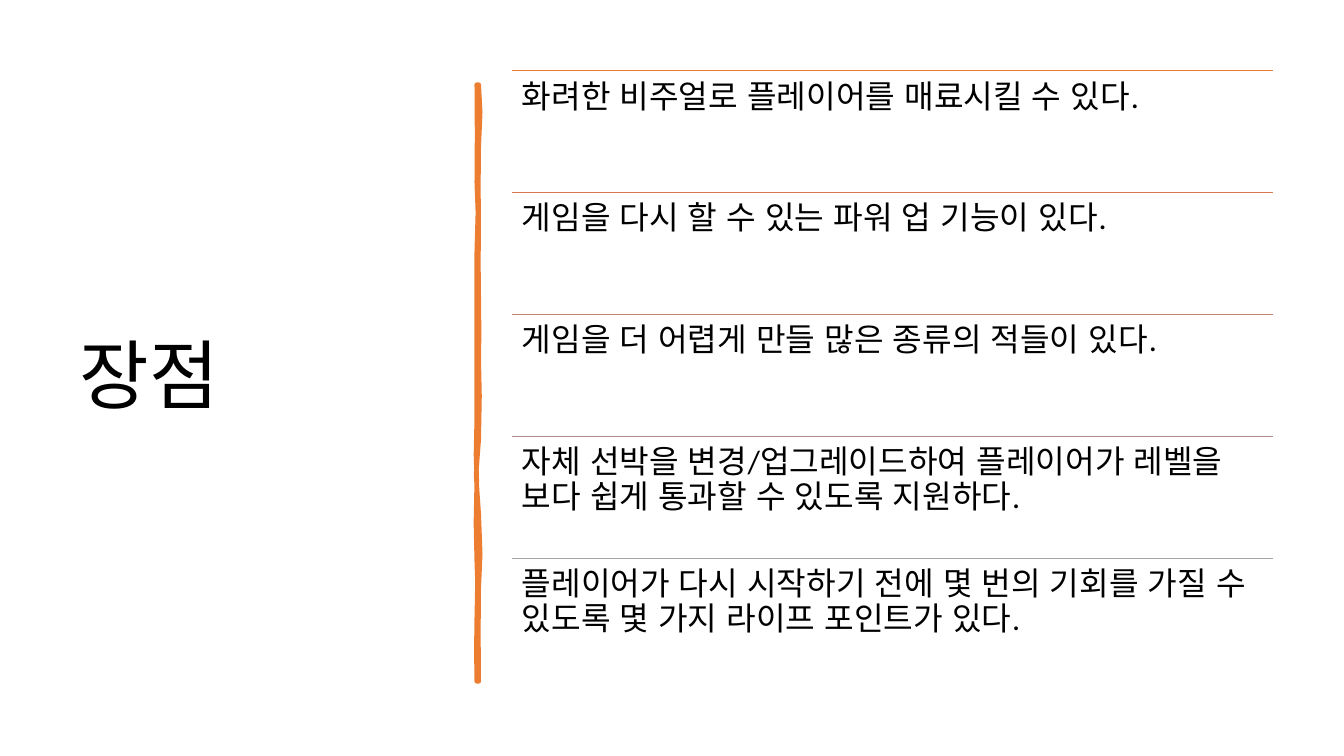
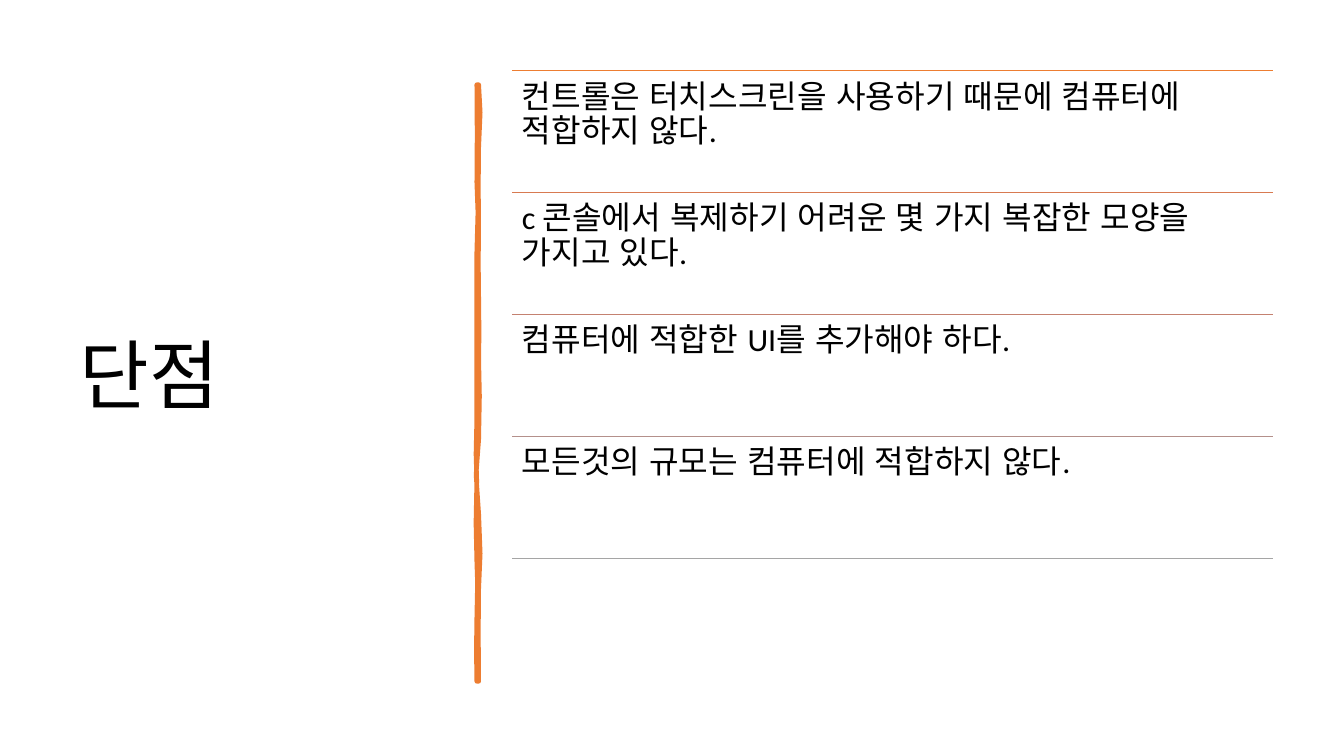
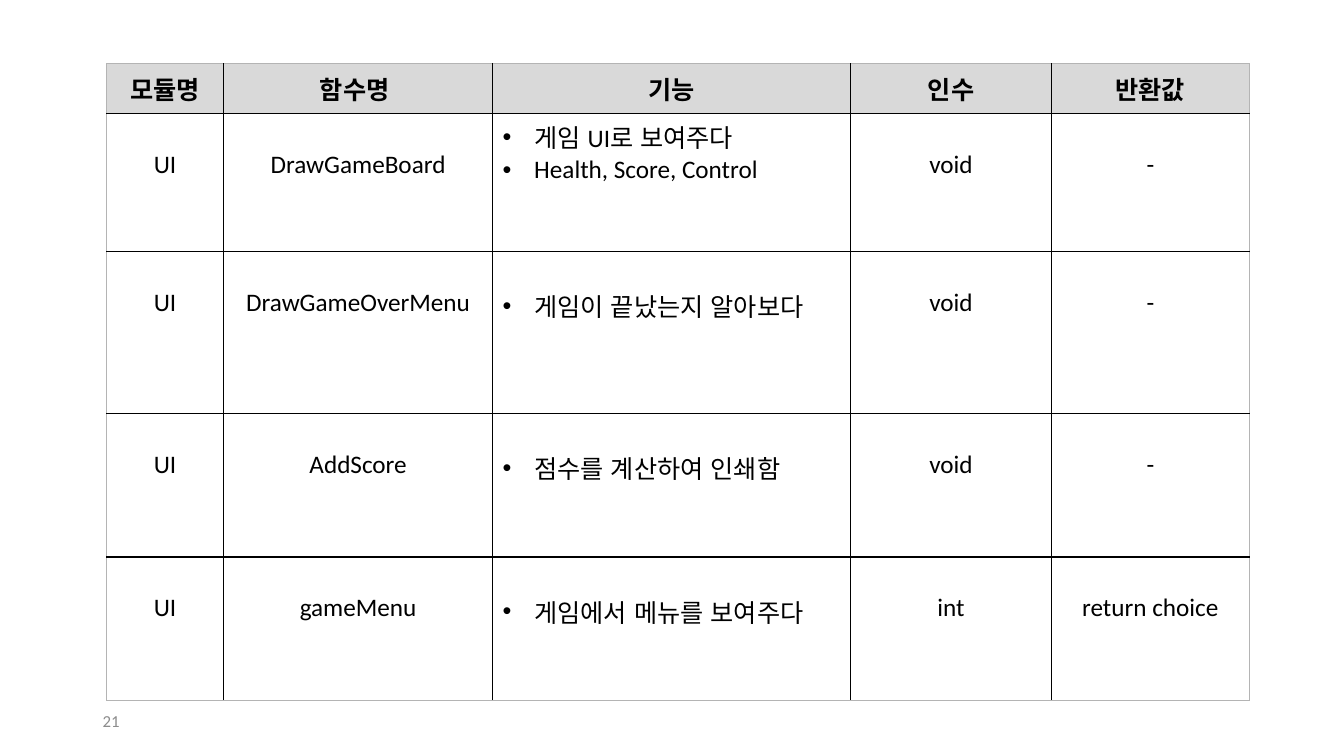
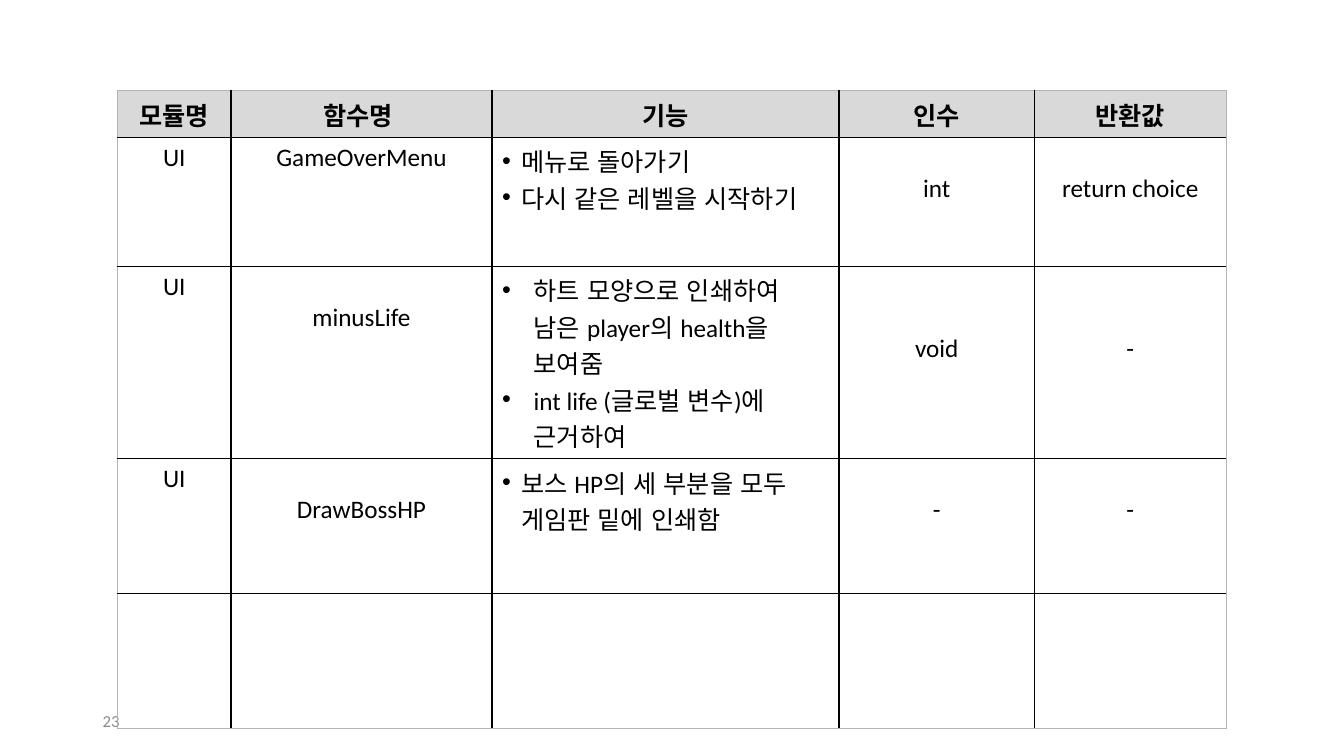
from dataclasses import dataclass
from typing import Iterator, NamedTuple

from lxml.etree import SubElement
from pptx import Presentation
from pptx.dml.color import RGBColor
from pptx.enum.lang import MSO_LANGUAGE_ID as Language
from pptx.enum.shapes import MSO_CONNECTOR
from pptx.enum.text import MSO_ANCHOR as Anchor, PP_ALIGN as Align
from pptx.oxml.ns import qn
from pptx.slide import Slide
from pptx.table import _Cell as TableCell
from pptx.text.text import TextFrame, _Paragraph as Paragraph
from pptx.util import Pt


@dataclass(frozen=True)
class Theme:
    font: str = "Calibri"
    ink: str = "000000"
    accent: str = "ED7D31"
    header: str = "D9D9D9"
    frame: str = "B4B4B4"
    page: str = "8C8C8C"
    rules: tuple[str, ...] = ("ED7D31", "D87A51", "C48170", "B4908B", "A5A5A5")
    title_size: float = 54
    point_size: float = 23
    table_size: float = 18
    page_size: float = 12


class Box(NamedTuple):
    left: float
    top: float
    width: float
    height: float


class Point(NamedTuple):
    x: float
    y: float


class Curve(NamedTuple):
    leave: Point
    arrive: Point
    end: Point


@dataclass(frozen=True)
class Entry:
    lines: tuple[str, ...] = ()
    drop: int = 0
    hang: float = 0


@dataclass(frozen=True)
class PointsPage:
    title: str
    points: tuple[str, ...]


@dataclass(frozen=True)
class FunctionsPage:
    number: str
    left: float
    top: float
    widths: tuple[float, ...]
    heights: tuple[float, ...]
    rows: tuple[tuple[Entry, ...], ...]


THEME = Theme()
TITLE_BOX = Box(49.7, 50.4, 269.3, 439.9)
FIRST_POINT = Box(365.8, 50.4, 543.6, 87.12)
PAGE_BOX = Box(66.2, 500.4, 216, 28.8)
POINT_INSET = 6.9
CELL_INSET = 3.6
BLANK_LINE = 22
WIDE_HANG = 22.5
NARROW_HANG = 13.5
CURVE_STEPS = 2
HEADINGS = ("모듈명", "함수명 ", "기능", "인수", "반환값")

STROKE_START = Point(342, 60.5)
STROKE_RIGHT = (
    (343.4, 73.4, 343.4, 85.7, 342, 105.1),
    (340.6, 124.6, 342.7, 140.4, 342, 162.7),
    (341.3, 185, 342, 188.6, 342, 211.7),
    (341.3, 234, 343.4, 246.2, 342, 256.3),
    (340.6, 266.4, 344.9, 298.1, 342, 313.9),
    (339.1, 329, 339.8, 348.5, 342, 367.2),
    (343.4, 385.9, 343.4, 406.1, 342, 420.5),
    (340.6, 434.2, 342.7, 468, 342, 486.7),
)
STROKE_FOOT = ((341.3, 486.7, 340.6, 486.7, 340.6, 486.7),)
STROKE_LEFT = (
    (341.3, 465.1, 339.1, 463.7, 340.6, 441.4),
    (341.3, 419.8, 341.3, 410.4, 340.6, 401),
    (339.8, 391.7, 339.8, 356.4, 340.6, 343.4),
    (340.6, 330.5, 339.1, 320.4, 340.6, 298.8),
    (341.3, 277.9, 339.8, 268.6, 340.6, 241.2),
    (341.3, 214.6, 339.8, 202.3, 340.6, 180),
    (341.3, 157, 342, 144, 340.6, 130.3),
    (338.4, 117.4, 343.4, 74.9, 340.6, 60.5),
)
STROKE = tuple(
    Curve(Point(a, b), Point(c, d), Point(e, f))
    for a, b, c, d, e, f in STROKE_RIGHT + STROKE_FOOT + STROKE_LEFT
)


def rgb(color: str) -> RGBColor:
    return RGBColor.from_string(color)


def add_run(paragraph: Paragraph, wording: str, size: float,
            color: str = THEME.ink, bold: bool = False) -> None:
    run = paragraph.add_run()
    run.text = wording
    run.font.name = THEME.font
    run.font.language_id = Language.KOREAN
    run.font.size = Pt(size)
    run.font.bold = bold
    run.font.color.rgb = rgb(color)


def add_frame(slide: Slide, box: Box, anchor: Anchor) -> TextFrame:
    frame = slide.shapes.add_textbox(*map(Pt, box)).text_frame
    frame.word_wrap = True
    frame.vertical_anchor = anchor
    return frame


def trace(start: Point, curves: tuple[Curve, ...]) -> Iterator[tuple[int, int]]:
    for leave, arrive, end in curves:
        for step in range(1, CURVE_STEPS + 1):
            t = step / CURVE_STEPS
            u = 1 - t
            x, y = (
                u**3 * a + 3 * u * u * t * b + 3 * u * t * t * c + t**3 * d
                for a, b, c, d in zip(start, leave, arrive, end)
            )
            yield Pt(x), Pt(y)
        start = end


def draw_stroke(slide: Slide) -> None:
    builder = slide.shapes.build_freeform(Pt(STROKE_START.x), Pt(STROKE_START.y))
    builder.add_line_segments(list(trace(STROKE_START, STROKE)), close=True)
    stroke = builder.convert_to_shape()
    stroke.shadow.inherit = False
    stroke.fill.solid()
    stroke.fill.fore_color.rgb = rgb(THEME.accent)
    stroke.line.color.rgb = rgb(THEME.accent)
    stroke.line.width = Pt(3.25)
    SubElement(stroke.line._get_or_add_ln(), qn("a:round"))


def draw_rule(slide: Slide, box: Box, color: str) -> None:
    rule = slide.shapes.add_connector(
        MSO_CONNECTOR.STRAIGHT, Pt(box.left), Pt(box.top),
        Pt(box.left + box.width), Pt(box.top))
    rule.line.color.rgb = rgb(color)
    rule.line.width = Pt(1)
    SubElement(rule._element.spPr, qn("a:effectLst"))


def draw_point(slide: Slide, box: Box, wording: str) -> None:
    frame = add_frame(slide, box, Anchor.TOP)
    frame.margin_left = frame.margin_right = Pt(POINT_INSET)
    frame.margin_top = frame.margin_bottom = Pt(POINT_INSET)
    paragraph = frame.paragraphs[0]
    paragraph.line_spacing = 0.9
    add_run(paragraph, wording, THEME.point_size)


def draw_points_page(slide: Slide, page: PointsPage) -> None:
    title = add_frame(slide, TITLE_BOX, Anchor.MIDDLE).paragraphs[0]
    title.line_spacing = 0.9
    add_run(title, page.title, THEME.title_size)
    draw_stroke(slide)
    for index, color in enumerate(THEME.rules):
        box = FIRST_POINT._replace(top=FIRST_POINT.top + index * FIRST_POINT.height)
        draw_rule(slide, box, color)
        if index < len(page.points):
            draw_point(slide, box, page.points[index])


def draw_border(cell: TableCell, side: str, outer: bool) -> None:
    border = SubElement(cell._tc.get_or_add_tcPr(), qn(f"a:{side}"),
                        w=str(Pt(0.5 if outer else 1)))
    fill = SubElement(border, qn("a:solidFill"))
    SubElement(fill, qn("a:srgbClr"), val=THEME.frame if outer else THEME.ink)


def add_bullet(paragraph: Paragraph, hang: float) -> None:
    properties = paragraph._p.get_or_add_pPr()
    properties.set("marL", str(Pt(hang)))
    properties.set("indent", str(-Pt(hang)))
    SubElement(properties, qn("a:buFont"), typeface="Arial")
    SubElement(properties, qn("a:buChar"), char="•")


def fill_cell(cell: TableCell, entry: Entry, heading: bool) -> None:
    if heading:
        cell.fill.solid()
        cell.fill.fore_color.rgb = rgb(THEME.header)
    else:
        cell.fill.background()
    cell.vertical_anchor = Anchor.MIDDLE if heading else Anchor.TOP
    cell.margin_top = Pt(CELL_INSET + entry.drop * BLANK_LINE)
    frame = cell.text_frame
    for index, line in enumerate(entry.lines):
        paragraph = frame.add_paragraph() if index else frame.paragraphs[0]
        if entry.hang:
            add_bullet(paragraph, entry.hang)
        else:
            paragraph.alignment = Align.CENTER
        add_run(paragraph, line, THEME.table_size, bold=heading)


def draw_functions_page(slide: Slide, page: FunctionsPage) -> None:
    number = add_frame(slide, PAGE_BOX, Anchor.MIDDLE).paragraphs[0]
    add_run(number, page.number, THEME.page_size, THEME.page)
    entries = (tuple(Entry((heading,)) for heading in HEADINGS),) + page.rows
    last_row, last_column = len(entries) - 1, len(HEADINGS) - 1
    table = slide.shapes.add_table(
        len(entries), len(HEADINGS), Pt(page.left), Pt(page.top),
        Pt(sum(page.widths)), Pt(sum(page.heights))).table
    table.first_row = table.horz_banding = False
    for column, width in zip(table.columns, page.widths):
        column.width = Pt(width)
    for row, height in zip(table.rows, page.heights):
        row.height = Pt(height)
    for r, row_entries in enumerate(entries):
        for c, entry in enumerate(row_entries):
            cell = table.cell(r, c)
            draw_border(cell, "lnL", c == 0)
            draw_border(cell, "lnR", c == last_column)
            draw_border(cell, "lnT", r == 0)
            draw_border(cell, "lnB", r == last_row)
            fill_cell(cell, entry, r == 0)


def plain(wording: str, drop: int = 1) -> Entry:
    return Entry((wording,), drop)


def bullets(*lines: str, drop: int = 0, hang: float = WIDE_HANG) -> Entry:
    return Entry(lines, drop, hang)


POINTS_PAGES = (
    PointsPage("장점", (
        "화려한 비주얼로 플레이어를 매료시킬 수 있다.",
        "게임을 다시 할 수 있는 파워 업 기능이 있다.",
        "게임을 더 어렵게 만들 많은 종류의 적들이 있다.",
        "자체 선박을 변경/업그레이드하여 플레이어가 레벨을 보다 쉽게 통과할 수 있도록 지원하다.",
        "플레이어가 다시 시작하기 전에 몇 번의 기회를 가질 수 있도록 몇 가지 라이프 포인트가 있다.",
    )),
    PointsPage("단점", (
        "컨트롤은 터치스크린을 사용하기 때문에 컴퓨터에 적합하지 않다.",
        "c 콘솔에서 복제하기 어려운 몇 가지 복잡한 모양을 가지고 있다.",
        "컴퓨터에 적합한 UI를 추가해야 하다.",
        "모든것의 규모는 컴퓨터에 적합하지 않다.",
    )),
)

FUNCTIONS_PAGES = (
    FunctionsPage(
        "21", 76.1, 45.4, (83.6, 192.2, 255.6, 143.6, 141.3),
        (35.5, 98.6, 115.9, 102.5, 102.5), (
            (plain("UI"), plain("DrawGameBoard"),
             bullets("게임 UI로 보여주다", "Health, Score, Control"),
             plain("void"), plain("-")),
            (plain("UI"), plain("DrawGameOverMenu"),
             bullets("게임이 끝났는지 알아보다", drop=1),
             plain("void"), plain("-")),
            (plain("UI"), plain("AddScore"),
             bullets("점수를 계산하여 인쇄함", drop=1),
             plain("void"), plain("-")),
            (plain("UI"), plain("gameMenu"),
             bullets("게임에서 메뉴를 보여주다", drop=1),
             plain("int"), plain("return choice")),
        )),
    FunctionsPage(
        "23", 84, 64.8, (81, 186.5, 247.9, 139.5, 137),
        (33.4, 92.2, 137.4, 96.1, 96.3), (
            (plain("UI", 0), plain("GameOverMenu", 0),
             bullets("메뉴로 돌아가기", "다시 같은 레벨을 시작하기", hang=NARROW_HANG),
             plain("int"), plain("return choice")),
            (plain("UI", 0), plain("minusLife"),
             bullets("하트 모양으로 인쇄하여 남은 player의 health을 보여줌",
                     "int life (글로벌 변수)에 근거하여"),
             plain("void", 2), plain("-", 2)),
            (plain("UI", 0), plain("DrawBossHP"),
             bullets("보스 HP의 세 부분을 모두 게임판 밑에 인쇄함", hang=NARROW_HANG),
             plain("-"), plain("-")),
            (Entry(),) * len(HEADINGS),
        )),
)


def main() -> None:
    deck = Presentation()
    deck.slide_width, deck.slide_height = Pt(960), Pt(540)
    blank = deck.slide_layouts[6]
    for page in POINTS_PAGES:
        draw_points_page(deck.slides.add_slide(blank), page)
    for page in FUNCTIONS_PAGES:
        draw_functions_page(deck.slides.add_slide(blank), page)
    deck.save("out.pptx")


if __name__ == "__main__":
    main()
